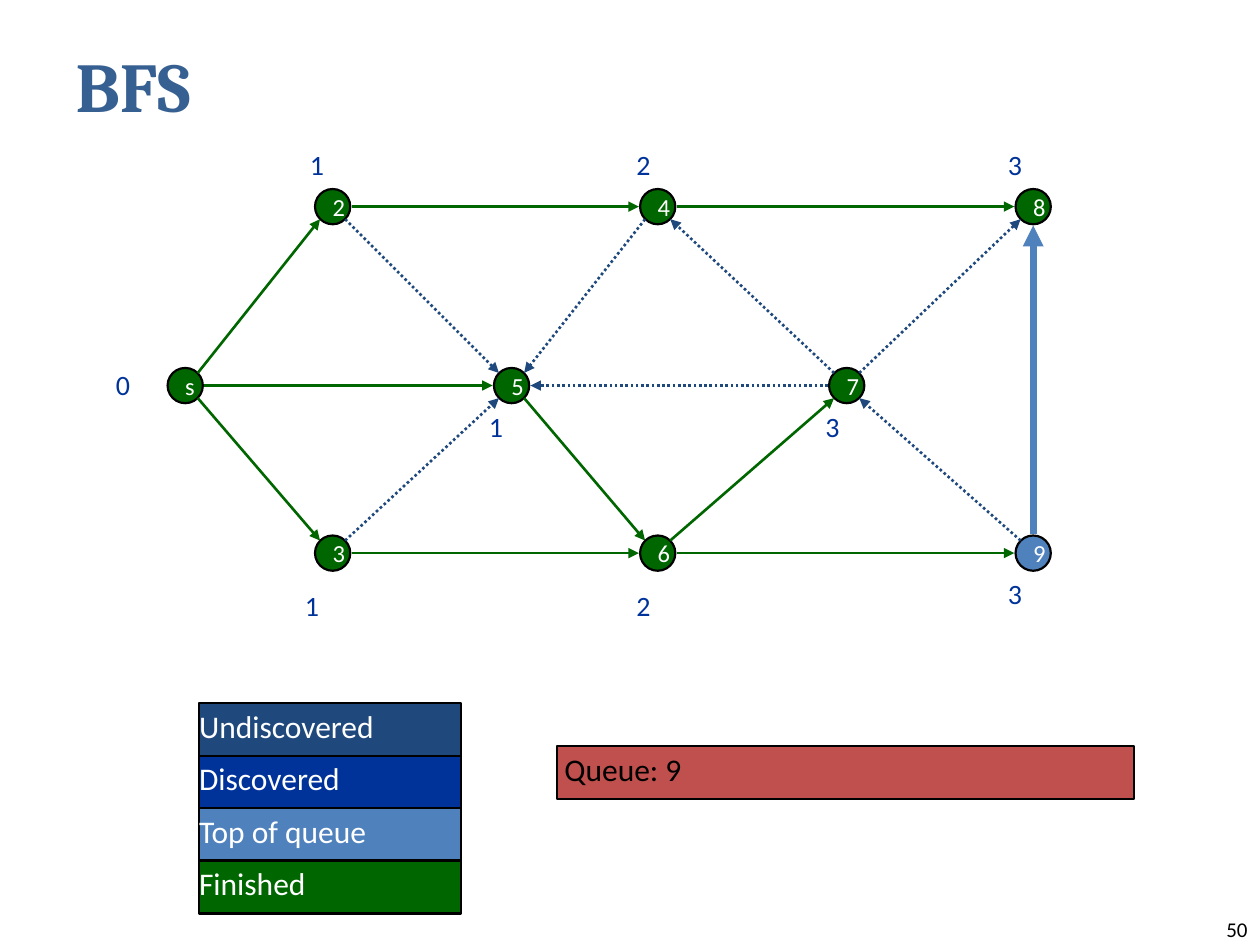
"""Build a slide showing one step of a breadth-first search."""
from dataclasses import dataclass
from math import copysign

from lxml.etree import SubElement
from pptx import Presentation
from pptx.dml.color import RGBColor
from pptx.enum.dml import MSO_LINE
from pptx.enum.shapes import MSO_CONNECTOR, MSO_SHAPE
from pptx.enum.text import MSO_ANCHOR, PP_ALIGN
from pptx.oxml.ns import qn
from pptx.util import Inches, Pt

COLORS = {
    "title": "376092", "undiscovered": "1F497D", "discovered": "003399",
    "top": "4F81BD", "finished": "006600", "queue": "C0504D",
    "black": "000000", "white": "FFFFFF",
}
NODE_SIZE = 0.28
STRAIGHT_GAP = 0.15
DIAGONAL_GAP = 0.1


@dataclass(frozen=True)
class Node:
    name: str
    x: float
    y: float
    distance: str
    label_left: float
    label_top: float
    color: str = "finished"


@dataclass(frozen=True)
class Edge:
    start: str
    end: str
    color: str = "finished"
    width: float = 1.5
    dotted: bool = False


@dataclass(frozen=True)
class Box:
    text: str
    left: float
    top: float
    width: float
    color: str
    font_color: str = "white"
    inset: float = 0


TOP, MIDDLE, BOTTOM = 1.64, 3.06, 4.39
NODES = [
    Node("s", 1.47, MIDDLE, "0", 0.92, 2.92),
    Node("2", 2.64, TOP, "1", 2.46, 1.17),
    Node("5", 4.06, MIDDLE, "1", 3.88, 3.25),
    Node("4", 5.22, TOP, "2", 5.05, 1.17),
    Node("7", 6.72, MIDDLE, "3", 6.55, 3.25),
    Node("8", 8.2, TOP, "3", 8, 1.17),
    Node("3", 2.64, BOTTOM, "1", 2.42, 4.67),
    Node("6", 5.22, BOTTOM, "2", 5.05, 4.67),
    Node("9", 8.2, BOTTOM, "3", 8, 4.58, "top"),
]
TREE_PAIRS = ["s2", "s5", "s3", "24", "48", "36", "69", "56", "67"]
OTHER_PAIRS = ["25", "45", "35", "75", "74", "78", "97"]
EDGES = [Edge(*pair) for pair in TREE_PAIRS]
EDGES += [Edge(*pair, "undiscovered", dotted=True) for pair in OTHER_PAIRS]
EDGES.append(Edge("9", "8", "top", 4))
LEGEND = [("Undiscovered", "undiscovered"), ("Discovered", "discovered"),
          ("Top of queue", "top"), ("Finished", "finished")]


def rgb(color: str) -> RGBColor:
    """Return the named colour."""
    return RGBColor.from_string(COLORS[color])


def write(text_frame, text: str, size: float, color: str, font="Calibri", align=PP_ALIGN.LEFT):
    """Write one run into the first paragraph and return the run."""
    paragraph = text_frame.paragraphs[0]
    paragraph.alignment = align
    run = paragraph.add_run()
    run.text = text
    run.font.name = font
    run.font.size = Pt(size)
    run.font.color.rgb = rgb(color)
    return run


def set_insets(text_frame, left: float, top: float, right: float, bottom: float) -> None:
    """Set the four inner margins."""
    text_frame.margin_left, text_frame.margin_top = Inches(left), Inches(top)
    text_frame.margin_right, text_frame.margin_bottom = Inches(right), Inches(bottom)


def add_outlined(slide, kind, left: float, top: float, width: float, height: float, color: str):
    """Add a filled shape with a black outline."""
    shape = slide.shapes.add_shape(kind, Inches(left), Inches(top), Inches(width), Inches(height))
    shape.shadow.inherit = False
    shape.fill.solid()
    shape.fill.fore_color.rgb = rgb(color)
    shape.line.color.rgb = rgb("black")
    shape.line.width = Pt(1.25)
    return shape


def add_node(slide, node: Node) -> None:
    """Draw a graph node and its distance label."""
    shape = add_outlined(slide, MSO_SHAPE.OVAL, node.x - NODE_SIZE / 2, node.y - NODE_SIZE / 2,
                         NODE_SIZE, NODE_SIZE, node.color)
    shape.text_frame.word_wrap = False
    shape.text_frame.vertical_anchor = MSO_ANCHOR.MIDDLE
    set_insets(shape.text_frame, 0.1, 0.05, 0.1, 0.05)
    write(shape.text_frame, node.name, 14, "white")
    label = slide.shapes.add_textbox(Inches(node.label_left), Inches(node.label_top),
                                     Inches(0.37), Inches(0.27))
    label.text_frame.word_wrap = True
    set_insets(label.text_frame, 0, 0, 0, 0)
    write(label.text_frame, node.distance, 16, "discovered")


def add_edge(slide, edge: Edge, nodes: dict[str, Node]) -> None:
    """Draw an arrow between the rims of two nodes."""
    start, end = nodes[edge.start], nodes[edge.end]
    across, down = end.x - start.x, end.y - start.y
    gap = DIAGONAL_GAP if across and down else STRAIGHT_GAP
    step_x = copysign(gap, across) if across else 0
    step_y = copysign(gap, down) if down else 0
    connector = slide.shapes.add_connector(
        MSO_CONNECTOR.STRAIGHT, Inches(start.x + step_x), Inches(start.y + step_y),
        Inches(end.x - step_x), Inches(end.y - step_y))
    connector.line.color.rgb = rgb(edge.color)
    connector.line.width = Pt(edge.width)
    if edge.dotted:
        connector.line.dash_style = MSO_LINE.ROUND_DOT
    SubElement(connector.line._get_or_add_ln(), qn("a:tailEnd"), type="triangle")
    SubElement(connector._element.spPr, qn("a:effectLst"))


def add_box(slide, box: Box) -> None:
    """Draw a labelled rectangle."""
    shape = add_outlined(slide, MSO_SHAPE.RECTANGLE, box.left, box.top, box.width, 0.42, box.color)
    shape.text_frame.vertical_anchor = MSO_ANCHOR.TOP
    set_insets(shape.text_frame, box.inset, 0.03, 0, 0)
    write(shape.text_frame, box.text, 18, box.font_color)


def main() -> None:
    """Build and save the presentation."""
    presentation = Presentation()
    presentation.slide_width, presentation.slide_height = Inches(10), Inches(7.5)
    slide = presentation.slides.add_slide(presentation.slide_layouts[5])

    title = slide.shapes.title
    title.left, title.top = Inches(0.5), Inches(0.3)
    title.width, title.height = Inches(9), Inches(0.74)
    title.text_frame.vertical_anchor = MSO_ANCHOR.MIDDLE
    write(title.text_frame, "BFS", 40, "title", "Cambria").font.bold = True

    nodes = {node.name: node for node in NODES}
    for node in NODES:
        add_node(slide, node)
    for edge in EDGES:
        add_edge(slide, edge, nodes)

    for row, (text, color) in enumerate(LEGEND):
        add_box(slide, Box(text, 1.58, 5.58 + row * 5 / 12, 2.08, color))
    add_box(slide, Box("Queue: 9", 4.42, 5.92, 4.58, "queue", "black", 0.06))

    number = slide.shapes.add_textbox(Inches(7.92), Inches(7.25), Inches(2.08), Inches(0.25))
    number.text_frame.word_wrap = True
    number.text_frame.vertical_anchor = MSO_ANCHOR.MIDDLE
    write(number.text_frame, "50", 12, "black", align=PP_ALIGN.RIGHT)

    presentation.save("out.pptx")


if __name__ == "__main__":
    main()
